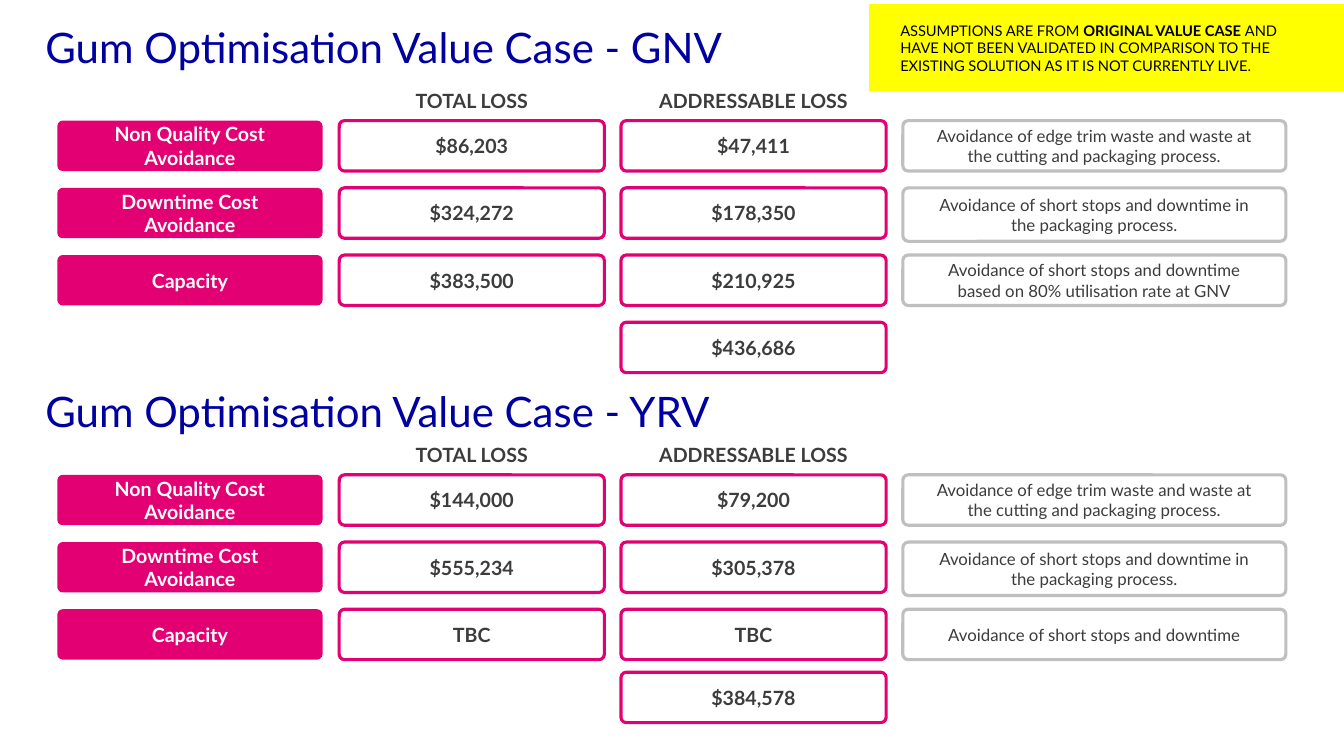
from pptx import Presentation
from pptx.dml.color import RGBColor
from pptx.enum.shapes import MSO_SHAPE as Preset
from pptx.enum.text import MSO_ANCHOR as Anchor, MSO_AUTO_SIZE as AutoSize, PP_ALIGN as Align
from pptx.util import Pt

MAGENTA = RGBColor(0xE3, 0x00, 0x73)
NAVY = RGBColor(0x00, 0x00, 0xA0)
CHARCOAL = RGBColor(0x3C, 0x3C, 0x3C)
SILVER = RGBColor(0xBF, 0xBF, 0xBF)
YELLOW = RGBColor(0xFF, 0xFF, 0x00)
WHITE = RGBColor(0xFF, 0xFF, 0xFF)
BLACK = RGBColor(0x00, 0x00, 0x00)

FONT = "Lato"
CARD_WIDTH, CARD_HEIGHT = 189.4, 36
COLUMN_PITCH, ROW_PITCH = 201.3, 48
HEADER_HEIGHT, HEADER_TO_ROWS = 15.8, 22
REASON_WIDTH = 273.6

EDGE_TRIM = "Avoidance of edge trim waste and waste at the cutting and packaging process."
SHORT_STOPS = "Avoidance of short stops and downtime in the packaging process."
GNV_ROWS = [
    ("Non Quality Cost Avoidance", "$86,203", "$47,411", EDGE_TRIM, 36),
    ("Downtime Cost Avoidance", "$324,272", "$178,350", SHORT_STOPS, 38.2),
    ("Capacity", "$383,500", "$210,925",
     "Avoidance of short stops and downtime based on 80% utilisation rate at GNV", 36),
]
YRV_ROWS = [
    ("Non Quality Cost Avoidance", "$144,000", "$79,200", EDGE_TRIM, 36),
    ("Downtime Cost Avoidance", "$555,234", "$305,378", SHORT_STOPS, 38.2),
    ("Capacity", "TBC", "TBC", "Avoidance of short stops and downtime", 36),
]


def add_run(paragraph, text, size, color, bold=False):
    """Append one formatted run to a paragraph."""
    run = paragraph.add_run()
    run.text = text
    run.font.name = FONT
    run.font.size = Pt(size)
    run.font.bold = bold
    run.font.color.rgb = color


def add_panel(slide, preset, box, fill, outline=None):
    """Draw a filled panel and return it with its padded, wrapped text frame."""
    panel = slide.shapes.add_shape(preset, *map(Pt, box))
    panel.shadow.inherit = False
    panel.fill.solid()
    panel.fill.fore_color.rgb = fill
    if outline is None:
        panel.line.fill.background()
    else:
        panel.line.color.rgb = outline
        panel.line.width = Pt(2.25)
    frame = panel.text_frame
    frame.word_wrap = True
    frame.vertical_anchor = Anchor.MIDDLE
    frame.margin_left = frame.margin_right = Pt(22.3)
    frame.margin_top = frame.margin_bottom = Pt(8.6)
    return panel, frame


def add_card(slide, box, text, fill=WHITE, outline=None, color=CHARCOAL, size=14, bold=True):
    """Draw a rounded card with one centred line of text."""
    card, frame = add_panel(slide, Preset.ROUNDED_RECTANGLE, box, fill, outline)
    card.adjustments[0] = 0.107
    paragraph = frame.paragraphs[0]
    paragraph.alignment = Align.CENTER
    add_run(paragraph, text, size, color, bold)


def format_title(title, box, text):
    """Place a heading and write its text."""
    title.left, title.top, title.width, title.height = map(Pt, box)
    frame = title.text_frame
    frame.word_wrap = True
    frame.auto_size = AutoSize.NONE
    frame.vertical_anchor = Anchor.TOP
    frame.margin_left = frame.margin_right = frame.margin_top = frame.margin_bottom = 0
    paragraph = frame.paragraphs[0]
    paragraph.alignment = Align.LEFT
    paragraph.line_spacing = 0.83
    add_run(paragraph, text, 30, NAVY)


def add_value_case(slide, left, top, rows, total, total_gap):
    """Draw the loss headers, one row of cards per saving, and the total."""
    label_left, total_left, addressable_left, reason_left = (
        left + COLUMN_PITCH * column for column in range(4))
    for header_left, header in ((total_left, "TOTAL LOSS"),
                                (addressable_left, "ADDRESSABLE LOSS")):
        add_card(slide, (header_left, top, CARD_WIDTH, HEADER_HEIGHT), header)

    for index, (label, total_loss, addressable, reason, reason_height) in enumerate(rows):
        row_top = top + HEADER_TO_ROWS + index * ROW_PITCH
        add_card(slide, (label_left, row_top, CARD_WIDTH, CARD_HEIGHT), label,
                 fill=MAGENTA, color=WHITE)
        for loss_left, loss in ((total_left, total_loss), (addressable_left, addressable)):
            add_card(slide, (loss_left, row_top, CARD_WIDTH, CARD_HEIGHT), loss, outline=MAGENTA)
        add_card(slide, (reason_left, row_top, REASON_WIDTH, reason_height), reason,
                 outline=SILVER, size=12, bold=False)

    add_card(slide, (addressable_left, row_top + CARD_HEIGHT + total_gap, CARD_WIDTH, CARD_HEIGHT),
             total, outline=MAGENTA)


def add_assumptions(slide, box):
    """Draw the yellow note on the assumptions."""
    _, frame = add_panel(slide, Preset.RECTANGLE, box, YELLOW)
    paragraph = frame.paragraphs[0]
    paragraph.alignment = Align.LEFT
    add_run(paragraph, "ASSUMPTIONS ARE FROM ", 10.5, BLACK)
    add_run(paragraph, "ORIGINAL VALUE CASE ", 10.5, BLACK, bold=True)
    add_run(paragraph, "AND HAVE NOT BEEN VALIDATED IN COMPARISON TO THE EXISTING SOLUTION "
            "AS IT IS NOT CURRENTLY LIVE.", 10.5, BLACK)


def main():
    """Build and save the value case slide."""
    deck = Presentation()
    deck.slide_width, deck.slide_height = Pt(960), Pt(540)
    slide = deck.slides.add_slide(deck.slide_layouts[5])

    format_title(slide.shapes.title, (32.4, 21.6, 895.7, 67.7),
                 "Gum Optimisation Value Case - GNV")
    add_value_case(slide, 41, 64.2, GNV_ROWS, "$436,686", 12)

    yrv_box = (32.4, 281.5, 895.7, 67.7)
    format_title(slide.shapes.add_textbox(*map(Pt, yrv_box)), yrv_box,
                 "Gum Optimisation Value Case - YRV")
    add_value_case(slide, 41, 317.2, YRV_ROWS, "$384,578", 9)

    add_assumptions(slide, (620.8, 2.9, 339.2, 62.6))
    deck.save("out.pptx")


if __name__ == "__main__":
    main()
